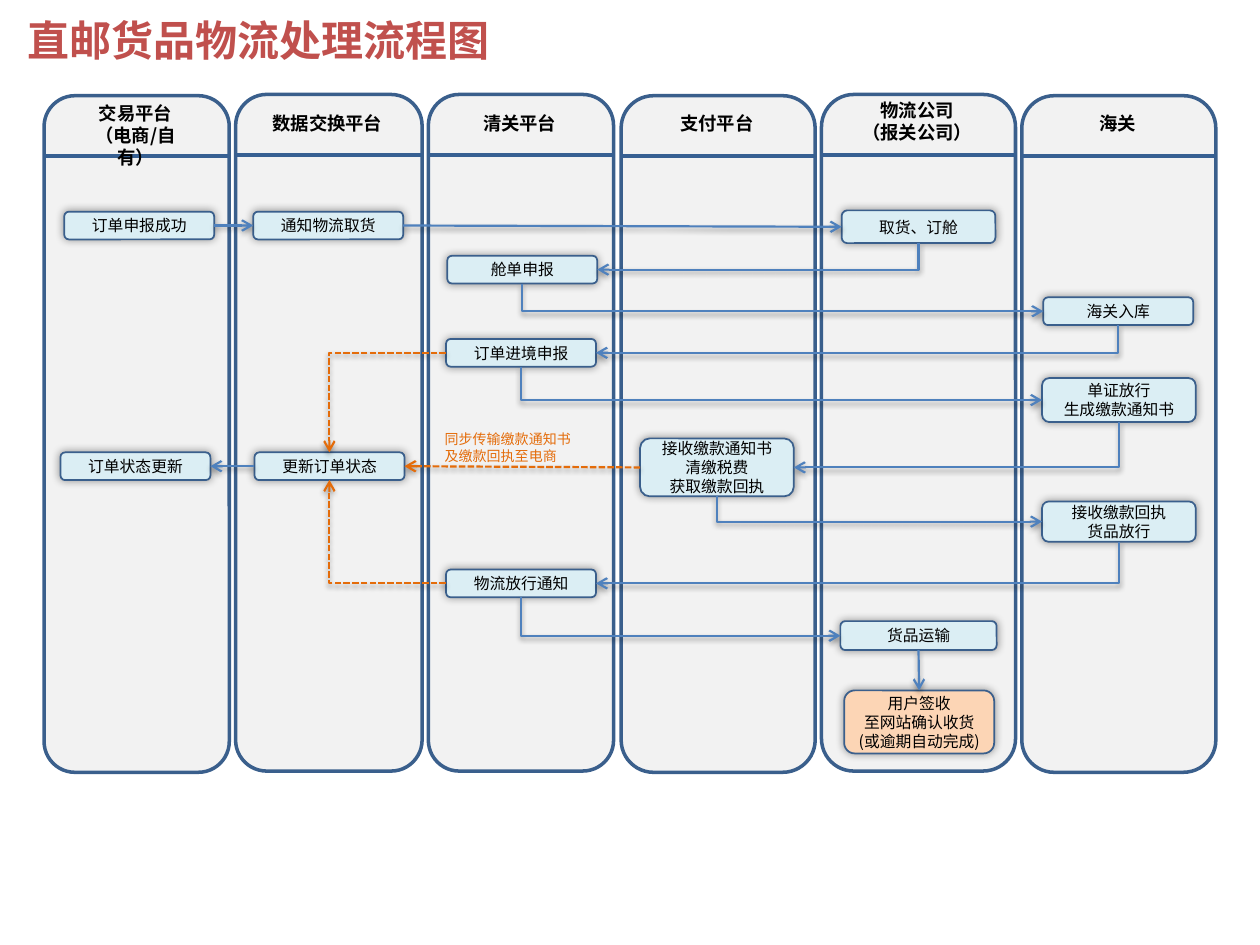
"""Build the swimlane flowchart of direct-mail goods logistics."""
from lxml.etree import SubElement
from pptx import Presentation
from pptx.dml.color import RGBColor
from pptx.enum.dml import MSO_LINE
from pptx.enum.shapes import MSO_CONNECTOR, MSO_SHAPE
from pptx.enum.text import MSO_ANCHOR, PP_ALIGN
from pptx.oxml.ns import qn
from pptx.util import Inches, Pt

FONT = "Noto Sans CJK SC"
BLUE, ORANGE, OUTLINE = "4F81BD", "E46C0A", "3A5F8C"
PALE_BLUE, PEACH = "DBEEF4", "FCD5B5"
TOP, LEFT, BOTTOM, RIGHT = range(4)
LANE_HEIGHT, HEADER_HEIGHT = 5.37, 0.48

TITLE = "直邮货品物流处理流程图"
NOTE = ["同步传输缴款通知书", "及缴款回执至电商"]

# left, top, width, heading, heading top, heading width
LANES = [
    (0.35, 0.76, 1.47, ["交易平台", "（电商/自有）"], 0.76, 1.05),
    (1.87, 0.75, 1.48, ["数据交换平台"], 0.84, 1.4),
    (3.4, 0.75, 1.47, ["清关平台"], 0.84, 1.4),
    (4.93, 0.76, 1.54, ["支付平台"], 0.84, 1.4),
    (6.52, 0.75, 1.54, ["物流公司", "（报关公司）"], 0.74, 1.26),
    (8.11, 0.76, 1.54, ["海关"], 0.84, 1.4),
]

STEPS = {
    "declared": (0.51, 1.68, 1.19, 0.22, ["订单申报成功"]),
    "notify": (2.01, 1.68, 1.19, 0.22, ["通知物流取货"]),
    "pickup": (6.68, 1.67, 1.22, 0.26, ["取货、订舱"]),
    "manifest": (3.55, 2.03, 1.19, 0.22, ["舱单申报"]),
    "warehouse": (8.28, 2.36, 1.19, 0.22, ["海关入库"]),
    "entry": (3.54, 2.69, 1.19, 0.22, ["订单进境申报"]),
    "documents": (8.27, 3, 1.22, 0.35, ["单证放行", "生成缴款通知书"]),
    "payment": (5.08, 3.48, 1.22, 0.46, ["接收缴款通知书", "清缴税费", "获取缴款回执"]),
    "update": (2.02, 3.59, 1.19, 0.22, ["更新订单状态"]),
    "status": (0.48, 3.59, 1.19, 0.22, ["订单状态更新"]),
    "release": (8.27, 3.98, 1.22, 0.32, ["接收缴款回执", "货品放行"]),
    "clearance": (3.54, 4.52, 1.19, 0.22, ["物流放行通知"]),
    "transport": (6.67, 4.93, 1.24, 0.23, ["货品运输"]),
    "receipt": (6.7, 5.48, 1.19, 0.5, ["用户签收", "至网站确认收货", "(或逾期自动完成)"]),
}

FLOWS = [
    ("declared", RIGHT, "notify", LEFT, BLUE),
    ("notify", RIGHT, "pickup", LEFT, BLUE),
    ("pickup", BOTTOM, "manifest", RIGHT, BLUE),
    ("manifest", BOTTOM, "warehouse", LEFT, BLUE),
    ("warehouse", BOTTOM, "entry", RIGHT, BLUE),
    ("entry", BOTTOM, "documents", LEFT, BLUE),
    ("documents", BOTTOM, "payment", RIGHT, BLUE),
    ("payment", BOTTOM, "release", LEFT, BLUE),
    ("release", BOTTOM, "clearance", RIGHT, BLUE),
    ("clearance", BOTTOM, "transport", LEFT, BLUE),
    ("transport", BOTTOM, "receipt", TOP, BLUE),
    ("update", LEFT, "status", RIGHT, BLUE),
    ("entry", LEFT, "update", TOP, ORANGE),
    ("payment", LEFT, "update", RIGHT, ORANGE),
    ("clearance", LEFT, "update", BOTTOM, ORANGE),
]


def rgb(value):
    return RGBColor.from_string(value)


def write(shape, lines, size=9, color="000000", bold=False, align=PP_ALIGN.CENTER,
          anchor=MSO_ANCHOR.TOP, inset=0.1):
    frame = shape.text_frame
    frame.word_wrap = True
    frame.vertical_anchor = anchor
    frame.margin_left = frame.margin_right = Inches(inset)
    frame.margin_top = frame.margin_bottom = Inches(inset / 2)
    for index, line in enumerate(lines):
        paragraph = frame.paragraphs[0] if index == 0 else frame.add_paragraph()
        paragraph.alignment = align
        run = paragraph.add_run()
        run.text = line
        run.font.name, run.font.size, run.font.bold = FONT, Pt(size), bold
        run.font.color.rgb = rgb(color)


def text_box(slide, left, top, width, height, lines, **style):
    box = slide.shapes.add_textbox(Inches(left), Inches(top), Inches(width), Inches(height))
    write(box, lines, **style)


def rounded(slide, left, top, width, height, fill, weight):
    shape = slide.shapes.add_shape(MSO_SHAPE.ROUNDED_RECTANGLE, Inches(left), Inches(top),
                                   Inches(width), Inches(height))
    shape.fill.solid()
    shape.fill.fore_color.rgb = rgb(fill)
    shape.line.color.rgb = rgb(OUTLINE)
    shape.line.width = Pt(weight)
    shape.shadow.inherit = False
    return shape


def effects(shape, blur=0, distance=0, alpha=0):
    properties = shape._element.spPr
    effect_list = properties.find(qn("a:effectLst"))
    if effect_list is None:
        effect_list = SubElement(properties, qn("a:effectLst"))
    if blur:
        shadow = SubElement(effect_list, qn("a:outerShdw"), blurRad=str(Pt(blur)),
                            dist=str(Pt(distance)), dir="5400000", rotWithShape="0")
        black = SubElement(shadow, qn("a:srgbClr"), val="000000")
        SubElement(black, qn("a:alpha"), val=str(alpha * 1000))


def add_lane(slide, left, top, width, heading, heading_top, heading_width):
    rounded(slide, left, top, width, LANE_HEIGHT, "F2F2F2", 2)
    y = Inches(top + HEADER_HEIGHT)
    divider = slide.shapes.add_connector(MSO_CONNECTOR.STRAIGHT, Inches(left), y,
                                         Inches(left + width), y)
    divider.line.color.rgb = rgb("376092")
    divider.line.width = Pt(2)
    effects(divider)
    text_box(slide, left + (width - heading_width) / 2 - 0.01, heading_top, heading_width,
             0.28, heading, size=10.5, bold=True)


def add_step(slide, left, top, width, height, lines):
    step = rounded(slide, left, top, width, height, PEACH if lines[0] == "用户签收" else PALE_BLUE, 1)
    effects(step, blur=5, alpha=40)
    write(step, lines, anchor=MSO_ANCHOR.MIDDLE, inset=0)
    return step


def bend(arrow, vertical_first):
    xfrm = arrow._element.spPr.find(qn("a:xfrm"))
    arrow._element.spPr.find(qn("a:prstGeom")).set("prst", "bentConnector2")
    if vertical_first:
        rightward = arrow.end_x > arrow.begin_x
        left, top, width, height = arrow.left, arrow.top, arrow.width, arrow.height
        arrow.left, arrow.top = left + (width - height) // 2, top + (height - width) // 2
        arrow.width, arrow.height = height, width
        xfrm.set("rot", str((270 if rightward else 90) * 60000))
        xfrm.set("flipH", str(int(rightward)))


def add_flow(slide, source, source_side, target, target_side, color):
    turns = (source_side - target_side) % 2 == 1
    kind = MSO_CONNECTOR.ELBOW if turns else MSO_CONNECTOR.STRAIGHT
    arrow = slide.shapes.add_connector(kind, 0, 0, 0, 0)
    arrow.begin_connect(source, source_side)
    arrow.end_connect(target, target_side)
    if turns:
        bend(arrow, source_side == BOTTOM)
    arrow.line.color.rgb = rgb(color)
    arrow.line.width = Pt(1.25)
    if color == ORANGE:
        arrow.line.dash_style = MSO_LINE.SQUARE_DOT
    SubElement(arrow.line._get_or_add_ln(), qn("a:tailEnd"), type="arrow")
    effects(arrow, blur=3.1, distance=1.6, alpha=38)


def main():
    deck = Presentation()
    deck.slide_width, deck.slide_height = Inches(10), Inches(7.5)
    slide = deck.slides.add_slide(deck.slide_layouts[6])
    text_box(slide, 0.12, 0.07, 6.95, 0.47, [TITLE], size=24, color="C0504D", bold=True,
             align=PP_ALIGN.LEFT)
    for lane in LANES:
        add_lane(slide, *lane)
    steps = {name: add_step(slide, *step) for name, step in STEPS.items()}
    for source, source_side, target, target_side, color in FLOWS:
        add_flow(slide, steps[source], source_side, steps[target], target_side, color)
    text_box(slide, 3.43, 3.37, 1.5, 0.37, NOTE, size=8, color=ORANGE, align=PP_ALIGN.LEFT)
    deck.save("out.pptx")


if __name__ == "__main__":
    main()
